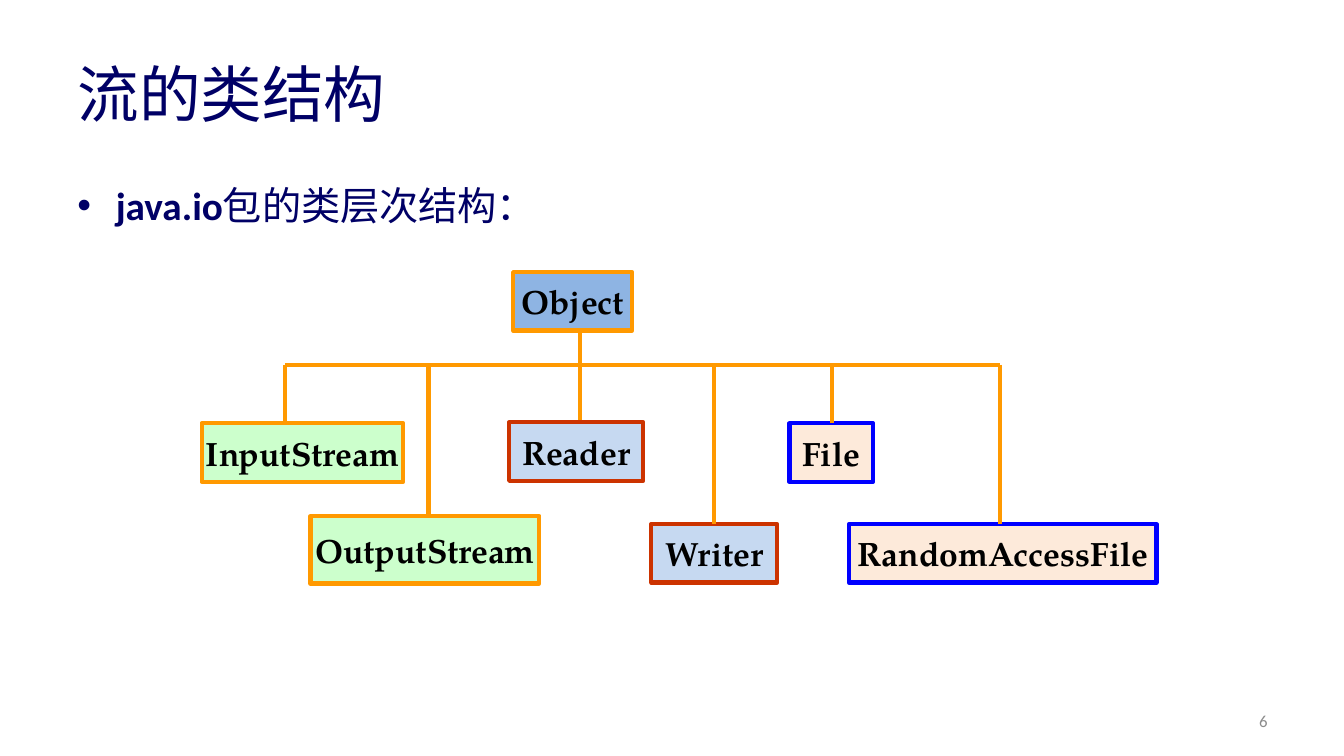
from dataclasses import dataclass

from lxml.etree import SubElement
from pptx import Presentation
from pptx.dml.color import RGBColor
from pptx.enum.shapes import MSO_CONNECTOR as Connector, MSO_SHAPE as Preset
from pptx.enum.text import MSO_ANCHOR as Anchor, PP_ALIGN as Align
from pptx.oxml.ns import qn
from pptx.slide import Slide
from pptx.text.text import TextFrame, _Paragraph as Paragraph
from pptx.util import Inches, Pt

COLORS = {
    "navy": "000066",
    "gray": "8C8C8C",
    "black": "000000",
    "orange": "FF9900",
    "red": "CC3300",
    "blue": "0000FF",
    "root_fill": "8EB4E3",
    "byte_fill": "CCFFCC",
    "char_fill": "C6D9F1",
    "file_fill": "FDEADA",
}
TEXT_FONT = "Calibri"
CLASS_FONT = "TeX Gyre Pagella"
LINE_WIDTH = Pt(3)
BOX_HEIGHT = 0.58
ROOT_TOP = 2.7
BUS_Y = 3.62
UPPER_ROW, LOWER_ROW = 4.2, 5.2
TRUNK_X = 5.75


@dataclass(frozen=True)
class ClassBox:
    name: str
    left: float
    top: float
    width: float
    fill: str
    line: str
    height: float = BOX_HEIGHT


@dataclass(frozen=True)
class Branch:
    """A drop from the horizontal bus to the top of a subclass box."""
    x: float
    bottom: float


CLASS_BOXES = [
    ClassBox("Object", 5.09, ROOT_TOP, 1.18, "root_fill", "orange"),
    ClassBox("InputStream", 2, UPPER_ROW, 2, "byte_fill", "orange"),
    ClassBox("OutputStream", 3.08, 5.12, 2.27, "byte_fill", "orange", 0.67),
    ClassBox("Reader", 5.05, 4.19, 1.33, "char_fill", "red"),
    ClassBox("Writer", 6.46, LOWER_ROW, 1.25, "char_fill", "red"),
    ClassBox("File", 7.83, UPPER_ROW, 0.83, "file_fill", "blue"),
    ClassBox("RandomAccessFile", 8.42, LOWER_ROW, 3.05, "file_fill", "blue"),
]
BRANCHES = [
    Branch(2.83, UPPER_ROW),
    Branch(4.25, 5.12),
    Branch(7.08, LOWER_ROW),
    Branch(8.25, UPPER_ROW),
    Branch(9.92, LOWER_ROW),
]


def color(name: str) -> RGBColor:
    return RGBColor.from_string(COLORS[name])


def add_run(paragraph: Paragraph, text: str, size: float, color_name: str,
            font_name: str = TEXT_FONT, bold: bool = False) -> None:
    run = paragraph.add_run()
    run.text = text
    run.font.name = font_name
    run.font.size = Pt(size)
    run.font.bold = bold
    run.font.color.rgb = color(color_name)


def add_text_box(slide: Slide, left: float, top: float, width: float,
                 height: float, anchor: Anchor) -> TextFrame:
    box = slide.shapes.add_textbox(
        Inches(left), Inches(top), Inches(width), Inches(height))
    box.text_frame.word_wrap = True
    box.text_frame.vertical_anchor = anchor
    return box.text_frame


def add_bullet(paragraph: Paragraph, indent: float) -> None:
    properties = paragraph._p.get_or_add_pPr()
    properties.set("marL", str(Inches(indent)))
    properties.set("indent", str(-Inches(indent)))
    SubElement(properties, qn("a:buFont")).set("typeface", "Arial")
    SubElement(properties, qn("a:buChar")).set("char", "•")


def add_class_box(slide: Slide, box: ClassBox) -> None:
    shape = slide.shapes.add_shape(
        Preset.RECTANGLE, Inches(box.left), Inches(box.top),
        Inches(box.width), Inches(box.height))
    shape.shadow.inherit = False
    shape.fill.solid()
    shape.fill.fore_color.rgb = color(box.fill)
    shape.line.color.rgb = color(box.line)
    shape.line.width = LINE_WIDTH
    frame = shape.text_frame
    frame.word_wrap = False
    frame.vertical_anchor = Anchor.MIDDLE
    paragraph = frame.paragraphs[0]
    paragraph.alignment = Align.CENTER
    add_run(paragraph, box.name, 24, "black", CLASS_FONT, bold=True)


def add_line(slide: Slide, x1: float, y1: float, x2: float, y2: float) -> None:
    line = slide.shapes.add_connector(
        Connector.STRAIGHT, Inches(x1), Inches(y1), Inches(x2), Inches(y2))
    line.line.color.rgb = color("orange")
    line.line.width = LINE_WIDTH
    SubElement(line._element.spPr, qn("a:effectLst"))


def add_texts(slide: Slide) -> None:
    """Add the title, the bullet and the page number."""
    title = add_text_box(slide, 0.67, 0.3, 12, 1.25, Anchor.MIDDLE)
    add_run(title.paragraphs[0], "流的类结构", 44, "navy")

    body = add_text_box(slide, 0.67, 1.75, 12, 4.95, Anchor.TOP)
    bullet = body.paragraphs[0]
    add_bullet(bullet, 0.38)
    add_run(bullet, "java.io", 28, "navy", bold=True)
    add_run(bullet, "包的类层次结构：", 28, "navy")

    page = add_text_box(slide, 9.56, 6.95, 3.11, 0.4, Anchor.MIDDLE)
    page.paragraphs[0].alignment = Align.RIGHT
    add_run(page.paragraphs[0], "6", 12, "gray")


def add_class_tree(slide: Slide) -> None:
    add_line(slide, TRUNK_X, ROOT_TOP + BOX_HEIGHT, TRUNK_X, UPPER_ROW)
    add_line(slide, BRANCHES[0].x, BUS_Y, BRANCHES[-1].x, BUS_Y)
    for box in CLASS_BOXES:
        add_class_box(slide, box)
    for branch in BRANCHES:
        add_line(slide, branch.x, BUS_Y, branch.x, branch.bottom)


def main() -> None:
    presentation = Presentation()
    presentation.slide_width = Inches(13.33)
    presentation.slide_height = Inches(7.5)
    slide = presentation.slides.add_slide(presentation.slide_layouts[6])
    add_texts(slide)
    add_class_tree(slide)
    presentation.save("out.pptx")


if __name__ == "__main__":
    main()
